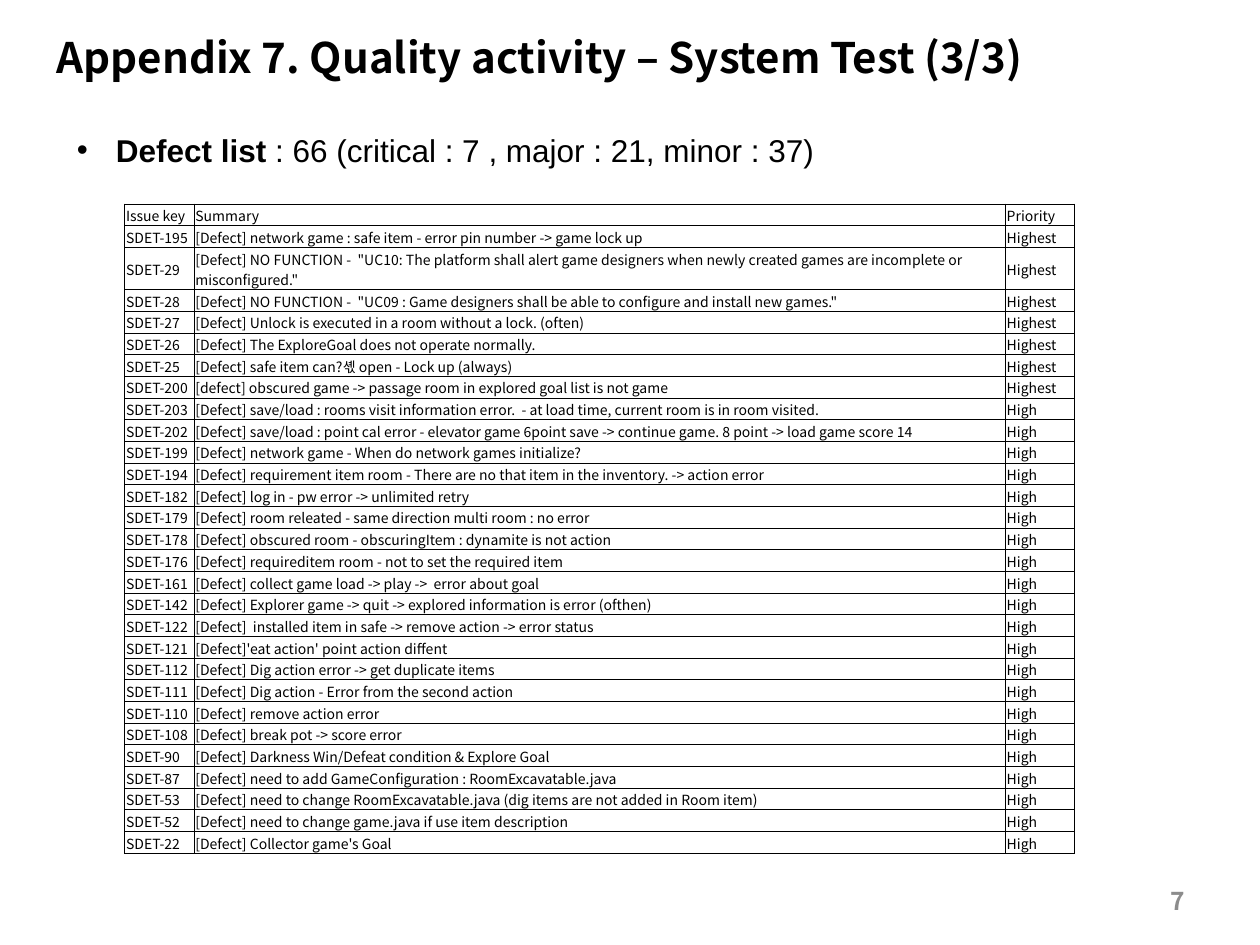
import pptx
import pptx.util
import pptx.dml.color
import pptx.enum.text
import pptx.oxml.ns
import lxml.etree

Inches = pptx.util.Inches
Pt = pptx.util.Pt
Align = pptx.enum.text.PP_ALIGN
Anchor = pptx.enum.text.MSO_ANCHOR
qn = pptx.oxml.ns.qn

BLACK = pptx.dml.color.RGBColor(0x00, 0x00, 0x00)
GRAY = pptx.dml.color.RGBColor(0x8C, 0x8C, 0x8C)
NOTO = "Noto Sans CJK KR"

HEAD = ("Issue key", "Summary", "Priority")
HIGHEST = [
    (195, "[Defect] network game : safe item - error pin number -> game lock up"),
    (29, '[Defect] NO FUNCTION -  "UC10: The platform shall alert game designers when '
         'newly created games are incomplete or misconfigured."'),
    (28, '[Defect] NO FUNCTION -  "UC09 : Game designers shall be able to configure '
         'and install new games."'),
    (27, "[Defect] Unlock is executed in a room without a lock. (often)"),
    (26, "[Defect] The ExploreGoal does not operate normally."),
    (25, "[Defect] safe item can?셳 open - Lock up (always)"),
    (200, "[defect] obscured game -> passage room in explored goal list is not game"),
]
HIGH = [
    (203, "[Defect] save/load : rooms visit information error.  - at load time, "
          "current room is in room visited."),
    (202, "[Defect] save/load : point cal error - elevator game 6point save -> "
          "continue game. 8 point -> load game score 14"),
    (199, "[Defect] network game - When do network games initialize?"),
    (194, "[Defect] requirement item room - There are no that item in the inventory. "
          "-> action error"),
    (182, "[Defect] log in - pw error -> unlimited retry"),
    (179, "[Defect] room releated - same direction multi room : no error"),
    (178, "[Defect] obscured room - obscuringItem : dynamite is not action"),
    (176, "[Defect] requireditem room - not to set the required item"),
    (161, "[Defect] collect game load -> play ->  error about goal"),
    (142, "[Defect] Explorer game -> quit -> explored information is error (ofthen)"),
    (122, "[Defect]  installed item in safe -> remove action -> error status"),
    (121, "[Defect]'eat action' point action diffent"),
    (112, "[Defect] Dig action error -> get duplicate items"),
    (111, "[Defect] Dig action - Error from the second action"),
    (110, "[Defect] remove action error"),
    (108, "[Defect] break pot -> score error"),
    (90, "[Defect] Darkness Win/Defeat condition & Explore Goal"),
    (87, "[Defect] need to add GameConfiguration : RoomExcavatable.java"),
    (53, "[Defect] need to change RoomExcavatable.java (dig items are not added in Room item)"),
    (52, "[Defect] need to change game.java if use item description"),
    (22, "[Defect] Collector game's Goal"),
]


def format(item, values):
    for key, value in values.items():
        setattr(item, key, value)


def place(shape, box):
    names = ("left", "top", "width", "height")
    format(shape, dict(zip(names, map(Inches, box))))


def write(para, text, color=BLACK, **font):
    run = para.add_run()
    run.text = text
    format(run.font, font)
    run.font.color.rgb = color
    # The same face for Korean letters
    east = lxml.etree.SubElement(run.font._element, qn("a:ea"))
    east.set("typeface", font["name"])


def add_title(slide, box):
    title = slide.shapes.title
    place(title, box)
    format(title.text_frame, {"vertical_anchor": Anchor.TOP, "word_wrap": True})
    para = title.text_frame.paragraphs[0]
    para.alignment = Align.LEFT
    write(para, "Appendix 7. Quality activity – System Test (3/3)",
          name=NOTO, size=Pt(24), bold=True)


def add_body(slide, box):
    body = slide.placeholders[1]
    place(body, box)
    format(body.text_frame, {"vertical_anchor": Anchor.TOP, "word_wrap": True})
    para = body.text_frame.paragraphs[0]
    format(para, {"alignment": Align.LEFT, "space_before": Pt(0)})
    write(para, "Defect list ", name="Arial", size=Pt(18), bold=True)
    write(para, ": 66 (critical : 7 , major : 21, minor : 37)",
          name="Arial", size=Pt(18), bold=False)
    # Hanging bullet
    props = para._p.get_or_add_pPr()
    props.set("marL", str(Inches(0.31)))
    props.set("indent", str(-Inches(0.31)))
    lxml.etree.SubElement(props, qn("a:buFont")).set("typeface", "Arial")
    lxml.etree.SubElement(props, qn("a:buChar")).set("char", "•")


def add_edges(cell):
    props = cell._tc.get_or_add_tcPr()
    for spot, side in enumerate("LRTB"):
        line = lxml.etree.Element(qn("a:ln" + side), w=str(Pt(0.5)))
        fill = lxml.etree.SubElement(line, qn("a:solidFill"))
        lxml.etree.SubElement(fill, qn("a:srgbClr")).set("val", str(BLACK))
        props.insert(spot, line)


def add_grid(slide, box):
    rows = [HEAD]
    for rank, group in (("Highest", HIGHEST), ("High", HIGH)):
        rows += [(f"SDET-{key}", text, rank) for key, text in group]
    frame = slide.shapes.add_table(len(rows), len(HEAD), *map(Inches, box))
    table = frame.table
    format(table, {"first_row": False, "horz_banding": False})
    # Narrow outer columns, the summary takes the rest
    side = 0.55
    for col, width in zip(table.columns, (side, box[2] - 2 * side, side)):
        col.width = Inches(width)
    look = {
        "vertical_anchor": Anchor.MIDDLE,
        "margin_left": Inches(0.01),
        "margin_top": Inches(0.01),
        "margin_right": Inches(0.01),
        "margin_bottom": 0,
    }
    for r, row in enumerate(rows):
        # One summary needs two lines
        table.rows[r].height = Inches(0.27 if row[0] == "SDET-29" else 0.17)
        for c, text in enumerate(row):
            cell = table.cell(r, c)
            format(cell, look)
            cell.fill.background()
            add_edges(cell)
            write(cell.text_frame.paragraphs[0], text, name=NOTO, size=Pt(8), bold=False)


def add_page(slide, box):
    frame = slide.shapes.add_textbox(*map(Inches, box)).text_frame
    format(frame, {"word_wrap": True, "vertical_anchor": Anchor.MIDDLE})
    para = frame.paragraphs[0]
    para.alignment = Align.RIGHT
    write(para, "7", GRAY, name=NOTO, size=Pt(14), bold=True)


def main():
    deck = pptx.Presentation()
    format(deck, {"slide_width": Inches(10), "slide_height": Inches(7.5)})
    slide = deck.slides.add_slide(deck.slide_layouts[1])
    add_title(slide, (0.35, 0.2, 8.74, 0.5))
    add_body(slide, (0.51, 0.99, 6.3, 0.4))
    add_grid(slide, (0.99, 1.62, 7.54, 4.95))
    add_page(slide, (7.17, 6.95, 2.33, 0.4))
    deck.save("out.pptx")


if __name__ == "__main__":
    main()
